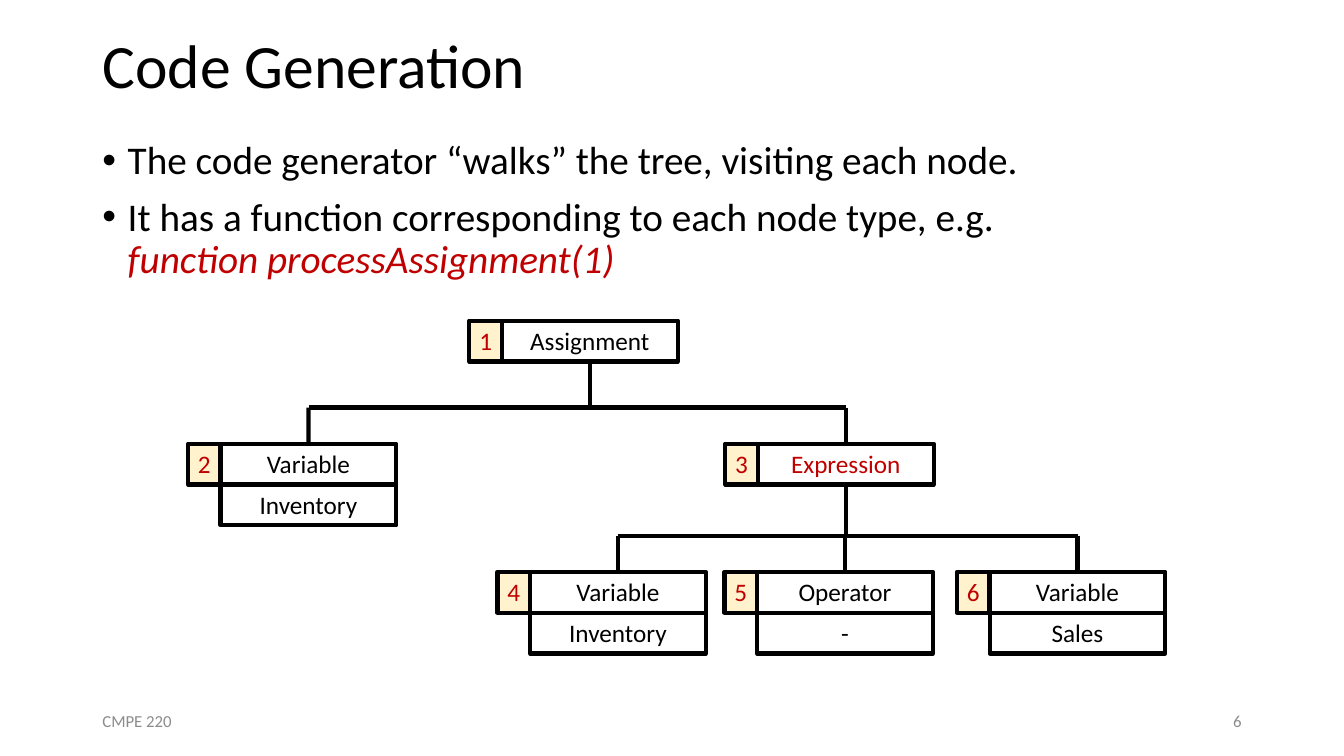
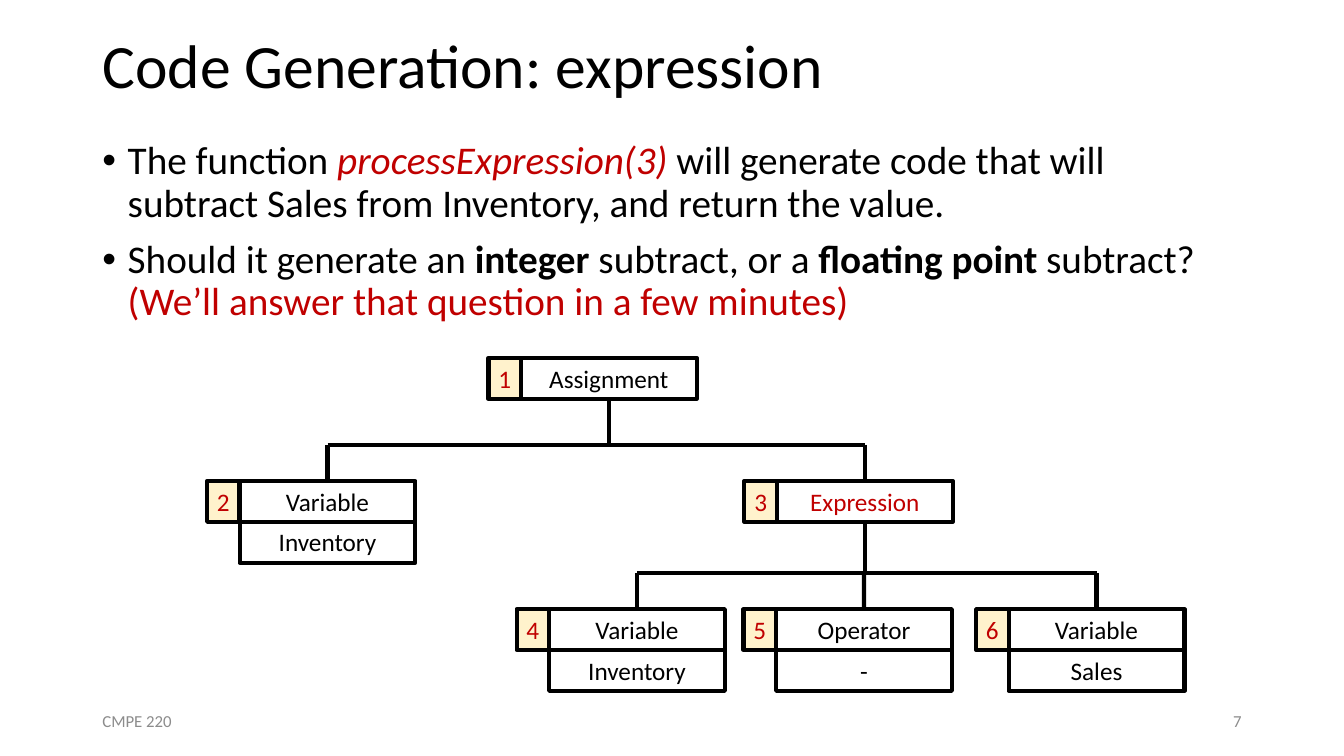
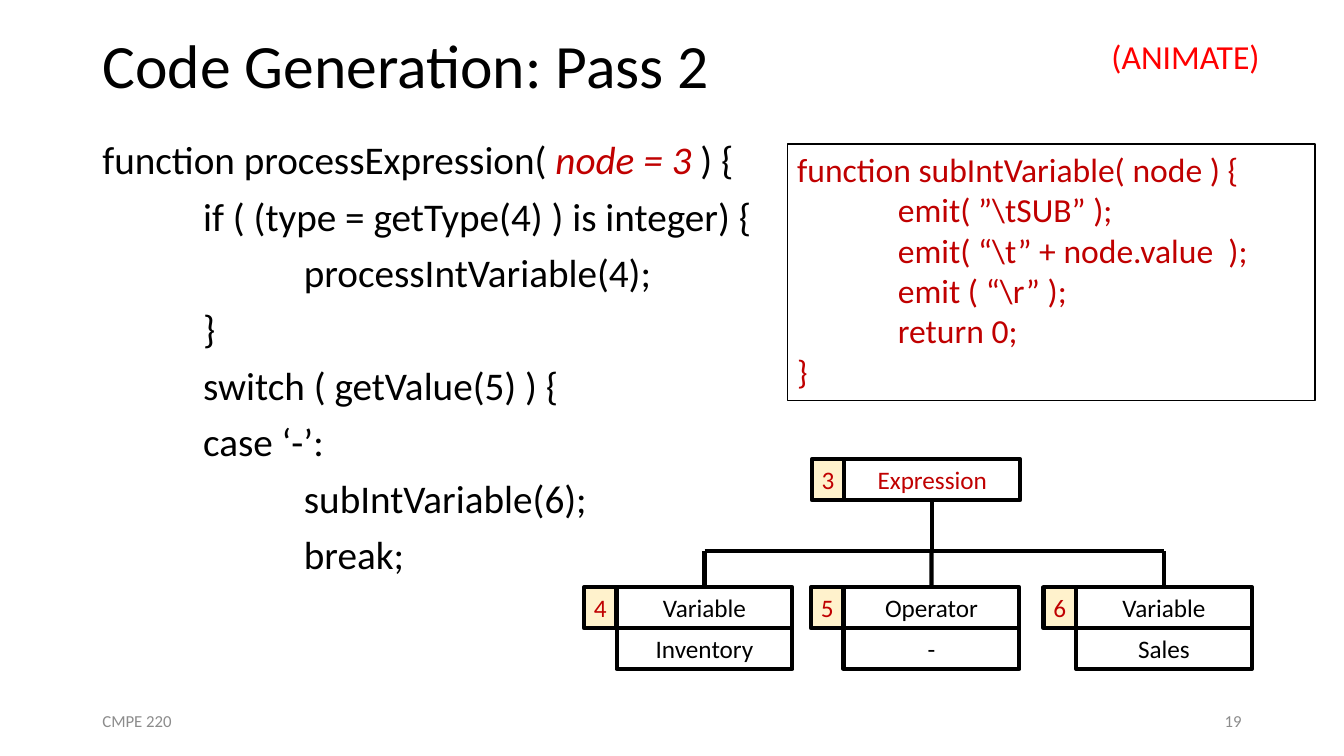
"""Build three slides on walking a syntax tree to generate code."""
import lxml.etree
import pptx
import pptx.dml.color
import pptx.enum.shapes
import pptx.enum.text
import pptx.oxml.ns
import pptx.util
from pptx.util import Cm

COLORS = {"ink": "000000", "accent": "C00000", "tag": "FFF2CC", "footer": "8C8C8C", "alert": "FF0000"}
ALIGN = pptx.enum.text.PP_ALIGN
ANCHOR = pptx.enum.text.MSO_ANCHOR

MARGIN, CONTENT_WIDTH = 2.33, 29.21
NODE_WIDTH, ROW_HEIGHT, TAG_WIDTH = 4.43, 1.03, 0.82
LEVEL_TOPS = [8.08, 11.18, 14.41]
DROP = 0.91
TAB_STEP = 2.54

EXPRESSION = {
    "number": 3, "label": "Expression", "left": 19.1, "level": 1, "color": "accent",
    "children": [
        {"number": 4, "label": "Variable", "value": "Inventory", "left": 13.36, "level": 2},
        {"number": 5, "label": "Operator", "value": "-", "left": 19.08, "level": 2},
        {"number": 6, "label": "Variable", "value": "Sales", "left": 24.94, "level": 2},
    ],
}
ASSIGNMENT = {
    "number": 1, "label": "Assignment", "left": 12.65, "level": 0,
    "children": [
        {"number": 2, "label": "Variable", "value": "Inventory", "left": 5.56, "level": 1},
        EXPRESSION,
    ],
}


def rgb(name):
    return pptx.dml.color.RGBColor.from_string(COLORS[name])


def add_element(parent, tag, **attributes):
    element = lxml.etree.SubElement(parent, pptx.oxml.ns.qn(tag))
    for key, value in attributes.items():
        element.set(key, str(value))
    return element


class Deck:
    def __init__(self):
        self.prs = pptx.Presentation()
        self.prs.slide_width, self.prs.slide_height = Cm(33.87), Cm(19.05)
        self.slide = None

    def fill_frame(self, frame, paragraphs, size, color="ink", align=ALIGN.LEFT, anchor=ANCHOR.TOP,
                   spacing=None, before=0, bullet=False, tabs=0):
        frame.word_wrap = True
        frame.vertical_anchor = anchor
        for index, runs in enumerate(paragraphs):
            paragraph = frame.add_paragraph() if index else frame.paragraphs[0]
            properties = paragraph._p.get_or_add_pPr()
            if bullet:
                properties.set("marL", str(Cm(0.64)))
                properties.set("indent", str(-Cm(0.64)))
                add_element(properties, "a:buFont", typeface="Arial")
                add_element(properties, "a:buChar", char="•")
            if tabs:
                stops = add_element(properties, "a:tabLst")
                for stop in range(1, tabs + 1):
                    add_element(stops, "a:tab", pos=Cm(stop * TAB_STEP), algn="l")
            paragraph.alignment = align
            if spacing:
                paragraph.line_spacing = spacing
            if index and before:
                paragraph.space_before = pptx.util.Pt(before)
            paragraph.font.name = "Calibri"
            paragraph.font.size = pptx.util.Pt(size)
            paragraph.font.color.rgb = rgb(color)
            for part in [runs] if isinstance(runs, str) else runs:
                if part == "\n":
                    paragraph.add_line_break()
                    continue
                text, style = (part, "") if isinstance(part, str) else part
                run = paragraph.add_run()
                run.text = text
                if "accent" in style:
                    run.font.color.rgb = rgb("accent")
                if "italic" in style:
                    run.font.italic = True
                if "bold" in style:
                    run.font.bold = True

    def text(self, left, top, width, height, paragraphs, size, **style):
        box = self.slide.shapes.add_textbox(Cm(left), Cm(top), Cm(width), Cm(height))
        self.fill_frame(box.text_frame, paragraphs, size, **style)

    def start(self, title, number):
        self.slide = self.prs.slides.add_slide(self.prs.slide_layouts[5])
        heading = self.slide.shapes.title
        heading.left, heading.top = Cm(MARGIN), Cm(0)
        heading.width, heading.height = Cm(CONTENT_WIDTH), Cm(3.43)
        self.fill_frame(heading.text_frame, [title], 44, anchor=ANCHOR.MIDDLE, spacing=0.9)
        footer = {"size": 12, "color": "footer", "anchor": ANCHOR.MIDDLE}
        self.text(MARGIN, 17.65, 7.62, 1.02, ["CMPE 220"], **footer)
        self.text(MARGIN + CONTENT_WIDTH - 7.62, 17.65, 7.62, 1.02, [str(number)],
                  align=ALIGN.RIGHT, **footer)

    def body(self, paragraphs, **style):
        self.text(MARGIN, 3.43, CONTENT_WIDTH, 13.41, paragraphs, 28, spacing=0.9, before=10, **style)

    def box(self, left, top, width, height, paragraphs, size, fill=None, line=3, inset=0.25, **style):
        shape = self.slide.shapes.add_shape(pptx.enum.shapes.MSO_SHAPE.RECTANGLE,
                                            Cm(left), Cm(top), Cm(width), Cm(height))
        shape.shadow.inherit = False
        if fill:
            shape.fill.solid()
            shape.fill.fore_color.rgb = rgb(fill)
        else:
            shape.fill.background()
        shape.line.color.rgb = rgb("ink")
        shape.line.width = pptx.util.Pt(line)
        shape.text_frame.margin_left = shape.text_frame.margin_right = Cm(inset)
        self.fill_frame(shape.text_frame, paragraphs, size, **style)
        return shape

    def line(self, x1, y1, x2, y2):
        connector = self.slide.shapes.add_connector(pptx.enum.shapes.MSO_CONNECTOR.STRAIGHT,
                                                    Cm(x1), Cm(y1), Cm(x2), Cm(y2))
        connector.line.color.rgb = rgb("ink")
        connector.line.width = pptx.util.Pt(3)
        add_element(connector._element.spPr, "a:effectLst")
        return connector

    def tree(self, node, dx=0, dy=0):
        left, top = node["left"] + dx, LEVEL_TOPS[node["level"]] + dy
        center, bottom = left + NODE_WIDTH / 2, top + ROW_HEIGHT
        self.box(left - TAG_WIDTH, top, TAG_WIDTH, ROW_HEIGHT, [str(node["number"])], 18,
                 fill="tag", inset=0, color="accent", align=ALIGN.CENTER)
        label = self.box(left, top, NODE_WIDTH, ROW_HEIGHT, [node["label"]], 18,
                         color=node.get("color", "ink"), align=ALIGN.CENTER)
        if "value" in node:
            self.box(left, bottom, NODE_WIDTH, ROW_HEIGHT, [node["value"]], 18, align=ALIGN.CENTER)
        if "children" in node:
            branches = [self.tree(child, dx, dy) for child in node["children"]]
            bus = LEVEL_TOPS[node["level"] + 1] + dy - DROP
            self.line(center, bottom, center, bus).begin_connect(label, 2)
            self.line(branches[0][1], bus, branches[-1][1], bus)
            for child, x in branches:
                self.line(x, bus, x, bus + DROP).end_connect(child, 0)
        return label, center


def main():
    deck = Deck()

    deck.start("Code Generation", 6)
    deck.body([
        "The code generator “walks” the tree, visiting each node.",
        ["It has a function corresponding to each node type, e.g.", "\n",
         ("function processAssignment(1)", "accent italic")],
    ], bullet=True)
    deck.tree(ASSIGNMENT)

    deck.start("Code Generation: expression", 7)
    deck.body([
        ["The function ", ("processExpression(3)", "accent italic"),
         " will generate code that will subtract Sales from Inventory, and return the value."],
        ["Should it generate an ", ("integer", "bold"), " subtract, or a ",
         ("floating point ", "bold"), "subtract?", "\n",
         ("(We’ll answer that question in a few minutes)", "accent")],
    ], bullet=True)
    deck.tree(ASSIGNMENT, 0.48, 0.94)

    deck.start("Code Generation: Pass 2", 19)
    deck.body([
        ["function processExpression( ", ("node = 3 ", "accent italic"), ") {"],
        "\tif ( (type = getType(4) ) is integer) {",
        "\t\tprocessIntVariable(4);",
        "\t}",
        "\tswitch ( getValue(5) ) {",
        "\tcase ‘-’:",
        "\t\tsubIntVariable(6);",
        "\t\tbreak;",
    ], tabs=2)
    deck.tree(EXPRESSION, 2.18, 0.39)
    deck.box(19.84, 3.63, 13.3, 6.46, [
        "function subIntVariable( node ) {",
        "\temit( ”\\tSUB” );",
        "\temit( “\\t” + node.value  );",
        "\temit ( “\\r” );",
        "\treturn 0;",
        "}",
    ], 24, line=1, color="accent", tabs=1)
    deck.text(27.76, 0.79, 4.83, 1.27, ["(ANIMATE)"], 24, color="alert")

    deck.prs.save("out.pptx")


if __name__ == "__main__":
    main()
